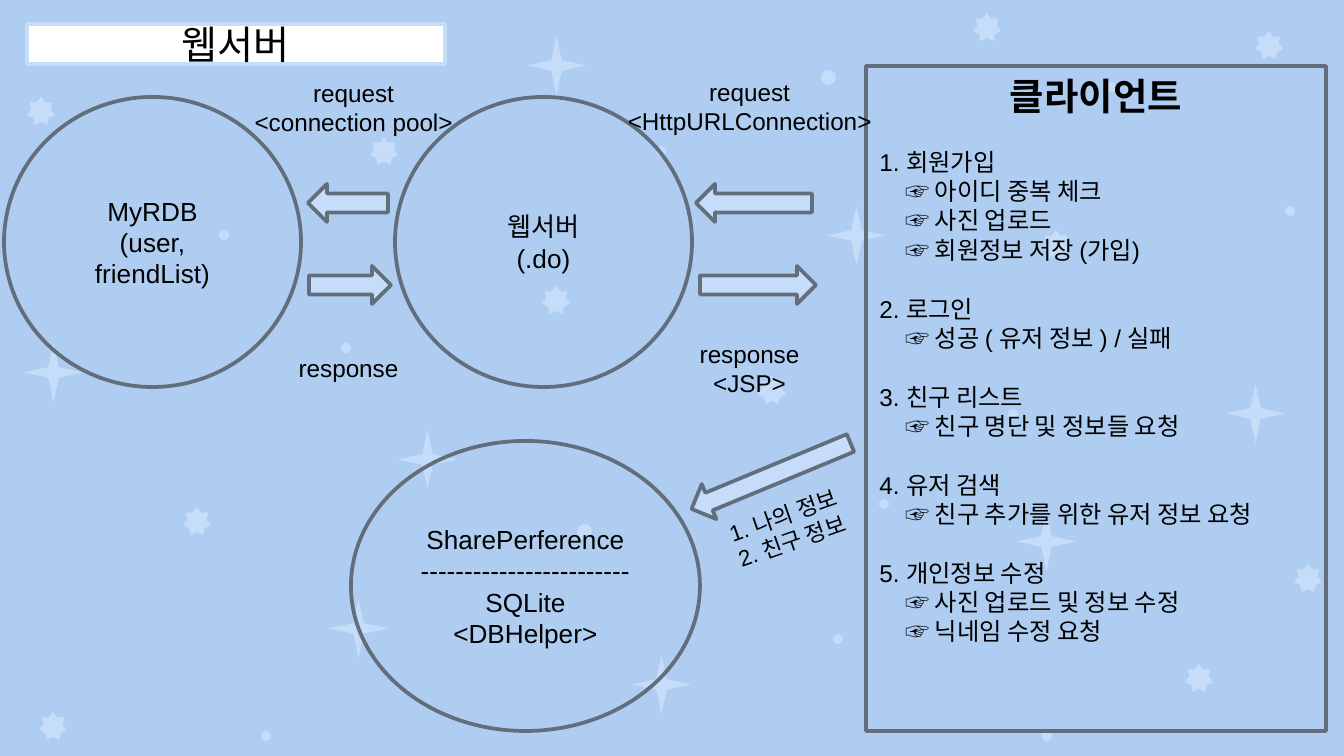
from pptx import Presentation
from pptx.dml.color import RGBColor
from pptx.enum.shapes import MSO_SHAPE as Kind
from pptx.enum.text import MSO_ANCHOR as Anchor, MSO_AUTO_SIZE as Auto, PP_ALIGN as Align
from pptx.util import Pt
from lxml.etree import SubElement
from pptx.oxml.ns import qn

PX = 914400 / 134.4
HEX = {"sky": "AFCDF1", "star": "C6DDFA", "line": "626E7C", "text": "000000", "white": "FFFFFF"}

TITLE = "웹서버"
CLIENT = "클라이언트"
STEPS = [
    ("회원가입", ["아이디 중복 체크", "사진 업로드", "회원정보 저장 (가입)"]),
    ("로그인", ["성공 ( 유저 정보 ) / 실패"]),
    ("친구 리스트", ["친구 명단 및 정보들 요청"]),
    ("유저 검색", ["친구 추가를 위한 유저 정보 요청"]),
    ("개인정보 수정", ["사진 업로드 및 정보 수정", "닉네임 수정 요청"]),
]
NODES = [
    ((395, 97, 297, 290), ["웹서버", "(.do)"]),
    ((4, 97, 297, 290), ["MyRDB", "(user, friendList)"]),
    ((351, 441, 349, 290), ["SharePerference", "-" * 24, "SQLite", "<DBHelper>"]),
]
ARROWS = [
    (Kind.RIGHT_ARROW, 309, 266, 82, 0),
    (Kind.RIGHT_ARROW, 700, 266, 116, 0),
    (Kind.LEFT_ARROW, 308, 184, 80, 0),
    (Kind.LEFT_ARROW, 696, 184, 116, 0),
    (Kind.LEFT_ARROW, 685, 457, 172, 337.5),
]
LABELS = [
    (211, 66, 13, 0, ["request", "<connection pool>"]),
    (607, 65, 13, 0, ["request", "<HttpURLConnection>"]),
    (206, 327, 13, 0, ["response"]),
    (607, 327, 13, 0, ["response", "<JSP>"]),
    (645, 487, 12, 340.7, ["1. 나의 정보", "2. 친구 정보"]),
]
DECOR = [
    (Kind.STAR_7_POINT, 28, [
        (370, 137), (27, 97), (183, 507), (1294, 564), (39, 712), (542, 286),
        (973, 13), (1042, 230), (758, 376), (1255, 31), (1185, 664)]),
    (Kind.STAR_4_POINT, 59, [
        (527, 36), (1017, 512), (329, 599), (24, 343), (1226, 384),
        (827, 206), (632, 655), (398, 430)]),
    (Kind.OVAL, 10, [
        (1042, 731), (261, 731), (656, 146), (219, 230), (833, 634),
        (1106, 82), (1008, 409), (1285, 206), (341, 343), (879, 499)]),
    (Kind.OVAL, 15, [(821, 70), (577, 524)]),
]


def color(name):
    return RGBColor.from_string(HEX[name])


def emu(*nums):
    return [round(n * PX) for n in nums]


def paint(shape, fill=None, line=None):
    if fill:
        shape.fill.solid()
        shape.fill.fore_color.rgb = color(fill)
    else:
        shape.fill.background()
    if line:
        shape.line.color.rgb = color(line)
        shape.line.width = Pt(2)
    else:
        shape.line.fill.background()


def draw(kind, box, fill=None, line=None, turn=0):
    shape = slide.shapes.add_shape(kind, *emu(*box))
    shape.shadow.inherit = False
    shape.rotation = turn
    paint(shape, fill, line)
    return shape


def write(shape, rows, anchor=Anchor.MIDDLE):
    frame = shape.text_frame
    for key, val in {"word_wrap": True, "auto_size": Auto.NONE, "vertical_anchor": anchor}.items():
        setattr(frame, key, val)
    for i, (text, font, form, pad) in enumerate(rows):
        para = frame.add_paragraph() if i else frame.paragraphs[0]
        para.text = text
        para.font.color.rgb = color("text")
        for key, val in {"name": "Arial", "bold": False, **font}.items():
            setattr(para.font, key, val)
        for key, val in {"space_before": Pt(0), "space_after": Pt(0), **form}.items():
            setattr(para, key, val)
        if pad is not None:
            props = para._p.get_or_add_pPr()
            props.set("marL", str(round(pad * PX)))
            props.set("indent", "0")
            SubElement(props, qn("a:buNone"))


def center(texts, size):
    return [(t, {"size": Pt(size)}, {"alignment": Align.CENTER}, None) for t in texts]


def place(shape, box, fill, line):
    for key, val in zip(("left", "top", "width", "height"), emu(*box)):
        setattr(shape, key, val)
    paint(shape, fill, line)
    shape.element.getparent().append(shape.element)


deck = Presentation()
deck.slide_width, deck.slide_height = emu(1344, 756)
slide = deck.slides.add_slide(deck.slide_layouts[1])
back = slide.background.fill
back.solid()
back.fore_color.rgb = color("sky")

for kind, size, spots in DECOR:
    for x, y in spots:
        draw(kind, (x, y, size, size), "star")

body = slide.placeholders[1]
place(body, (866, 66, 460, 665), None, "line")
rows = [(CLIENT, {"size": Pt(20), "bold": True}, {"alignment": Align.CENTER}, 0)]
for num, (head, subs) in enumerate(STEPS, 1):
    rows.append((f"{num}. {head}", {"size": Pt(13)}, {"space_before": Pt(16)}, 0))
    rows += [(f"☞ {sub}", {"size": Pt(13)}, {}, 26) for sub in subs]
write(body, rows, Anchor.TOP)

for box, texts in NODES:
    write(draw(Kind.OVAL, box, line="line"), center(texts, 14))

for kind, x, y, wide, turn in ARROWS:
    draw(kind, (x, y, wide, 38), "star", "line", turn)

for x, y, size, turn, texts in LABELS:
    label = slide.shapes.add_textbox(*emu(x, y, 285, 82))
    label.rotation = turn
    write(label, center(texts, size))

title = slide.shapes.title
place(title, (27, 24, 418, 40), "white", "star")
write(title, center([TITLE], 21))

deck.save("out.pptx")
